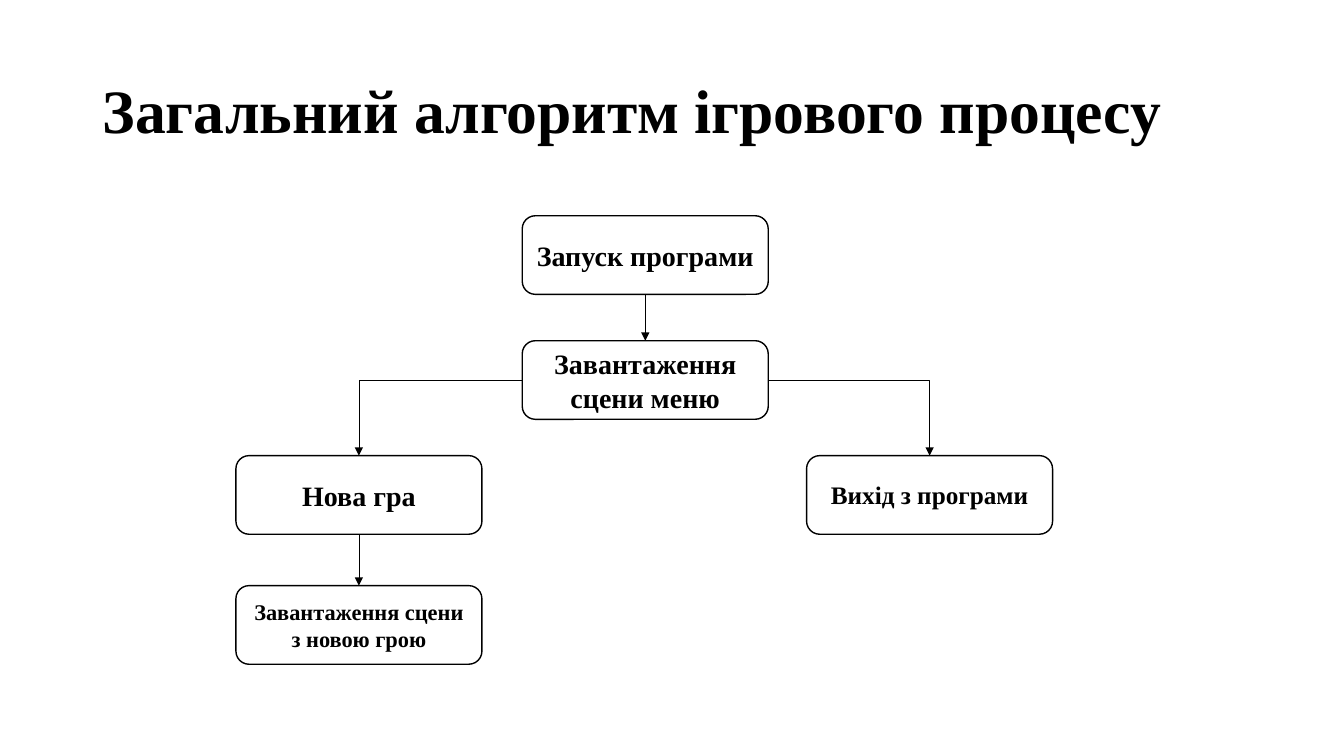
from lxml.etree import SubElement
from pptx import Presentation
from pptx.dml.color import RGBColor
from pptx.enum.shapes import MSO_CONNECTOR, MSO_SHAPE
from pptx.enum.text import MSO_ANCHOR, PP_ALIGN
from pptx.oxml.ns import qn
from pptx.util import Inches, Pt

BLACK = "000000"
STEP_WIDTH, STEP_HEIGHT = 2.44, 0.78
TOP, LEFT, BOTTOM, RIGHT = range(4)


def color(hex_string):
    return RGBColor.from_string(hex_string)


def write(shape, text, size):
    frame = shape.text_frame
    frame.word_wrap = True
    frame.vertical_anchor = MSO_ANCHOR.MIDDLE
    paragraph = frame.paragraphs[0]
    paragraph.text = text
    paragraph.font.name = "Times New Roman"
    paragraph.font.size = Pt(size)
    paragraph.font.bold = True
    paragraph.font.color.rgb = color(BLACK)
    return paragraph


deck = Presentation()
deck.slide_width, deck.slide_height = Inches(13.33), Inches(7.5)
slide = deck.slides.add_slide(deck.slide_layouts[6])

heading = slide.shapes.add_textbox(Inches(0.92), Inches(0.4), Inches(11.5), Inches(1.45))
write(heading, "Загальний алгоритм ігрового процесу", 44).line_spacing = 0.9

steps = {}
for key, left, top, text, size in [
    ("launch", 5.18, 2.14, "Запуск програми", 20),
    ("menu", 5.18, 3.38, "Завантаження сцени меню", 20),
    ("exit", 8, 4.52, "Вихід з програми", 18),
    ("new game", 2.34, 4.52, "Нова гра", 20),
    ("game scene", 2.34, 5.81, "Завантаження сцени з новою грою", 16),
]:
    step = slide.shapes.add_shape(
        MSO_SHAPE.ROUNDED_RECTANGLE,
        Inches(left), Inches(top), Inches(STEP_WIDTH), Inches(STEP_HEIGHT),
    )
    step.shadow.inherit = False
    step.fill.background()
    step.line.color.rgb = color(BLACK)
    step.line.width = Pt(1)
    write(step, text, size).alignment = PP_ALIGN.CENTER
    steps[key] = step

for source, side, target in [
    ("launch", BOTTOM, "menu"),
    ("menu", RIGHT, "exit"),
    ("menu", LEFT, "new game"),
    ("new game", BOTTOM, "game scene"),
]:
    kind = MSO_CONNECTOR.STRAIGHT if side == BOTTOM else MSO_CONNECTOR.ELBOW
    arrow = slide.shapes.add_connector(kind, 0, 0, 0, 0)
    arrow.begin_connect(steps[source], side)
    arrow.end_connect(steps[target], TOP)
    arrow.line.color.rgb = color(BLACK)
    arrow.line.width = Pt(0.5)
    properties = arrow._element.spPr
    if kind == MSO_CONNECTOR.ELBOW:
        properties.find(qn("a:prstGeom")).set("prst", "bentConnector2")
    SubElement(properties.find(qn("a:ln")), qn("a:tailEnd"), type="triangle")
    SubElement(properties, qn("a:effectLst"))

deck.save("out.pptx")
